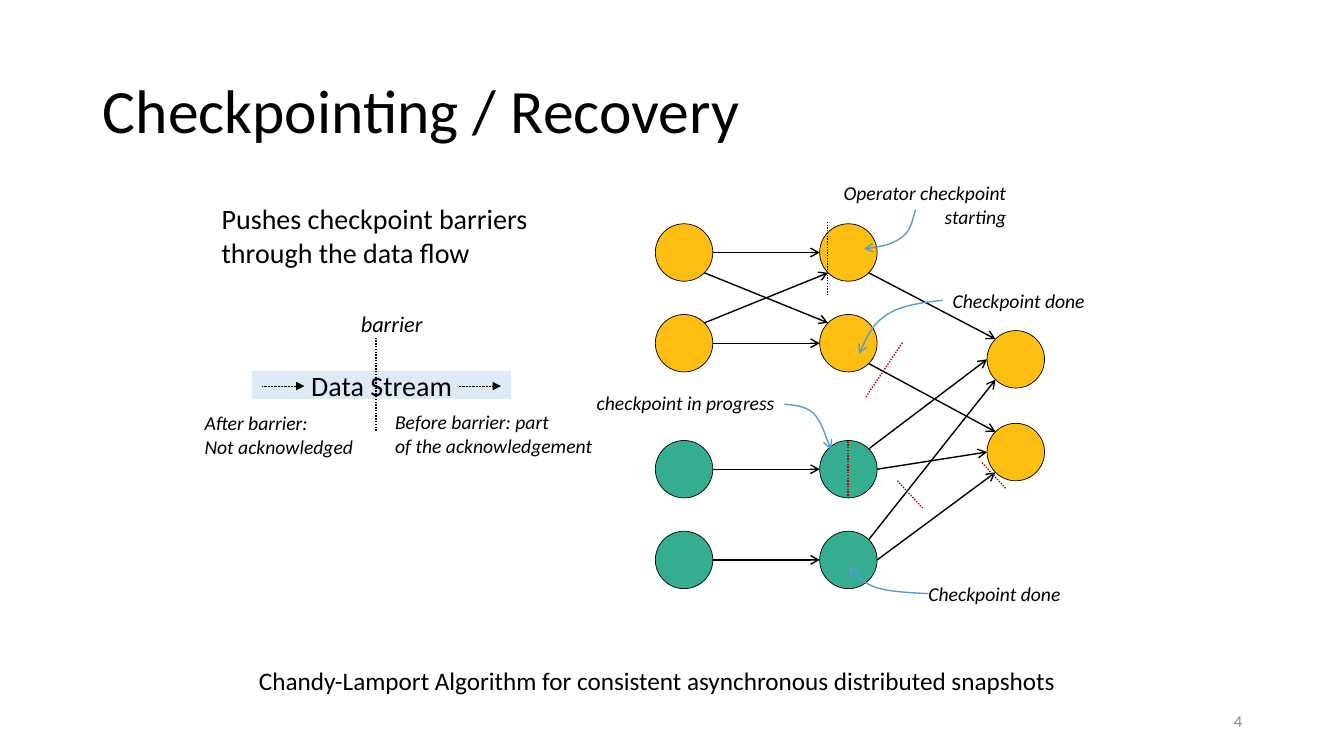
from math import cos, radians, sin

from lxml.etree import SubElement
from pptx import Presentation
from pptx.dml.color import RGBColor
from pptx.enum.dml import MSO_LINE
from pptx.enum.shapes import MSO_CONNECTOR, MSO_SHAPE
from pptx.enum.text import MSO_ANCHOR, MSO_AUTO_SIZE, PP_ALIGN
from pptx.oxml.ns import qn
from pptx.util import Inches, Pt

COLORS = {
    "black": "000000",
    "gray": "8C8C8C",
    "yellow": "FEBE12",
    "green": "34AD91",
    "red": "C00000",
    "blue": "5B9BD5",
    "pale": "DEEBF7",
}


def write(frame, text, size=14, color="black", italic=False,
          align=PP_ALIGN.LEFT, anchor=MSO_ANCHOR.TOP, wrap=False, spacing=None):
    frame.text = text
    frame.word_wrap = wrap
    frame.vertical_anchor = anchor
    for paragraph in frame.paragraphs:
        paragraph.alignment = align
        paragraph.line_spacing = spacing
        font = paragraph.font
        font.size, font.italic, font.name = Pt(size), italic, "Calibri"
        font.color.rgb = RGBColor.from_string(COLORS[color])


def style_line(shape, color="black", width=1, dotted=False, head=None):
    """Format an outline, drop its shadow and add an arrowhead at its end."""
    shape.line.color.rgb = RGBColor.from_string(COLORS[color])
    shape.line.width = Pt(width)
    if dotted:
        shape.line.dash_style = MSO_LINE.ROUND_DOT
    if head:
        SubElement(shape.line._get_or_add_ln(), qn("a:tailEnd"), type=head)
    if shape._element.spPr.find(qn("a:effectLst")) is None:
        SubElement(shape._element.spPr, qn("a:effectLst"))


prs = Presentation()
prs.slide_width, prs.slide_height = Inches(13.33), Inches(7.5)
slide = prs.slides.add_slide(prs.slide_layouts[5])
shapes = slide.shapes

title = shapes.title
title.left, title.top = Inches(0.92), Inches(0.4)
title.width, title.height = Inches(11.5), Inches(1.45)
write(title.text_frame, "Checkpointing / Recovery", size=44,
      anchor=MSO_ANCHOR.MIDDLE, wrap=True, spacing=0.9)

# Operators of the data flow: left, top, color
DIAMETER = 0.57
operators = {
    "source 1": (6.5, 2.22, "yellow"),
    "source 2": (6.5, 3.12, "yellow"),
    "source 3": (6.5, 4.37, "green"),
    "source 4": (6.5, 5.27, "green"),
    "map 1": (8.13, 2.22, "yellow"),
    "map 2": (8.13, 3.12, "yellow"),
    "map 3": (8.13, 4.37, "green"),
    "map 4": (8.13, 5.27, "green"),
    "sink 1": (9.79, 3.28, "yellow"),
    "sink 2": (9.79, 4.2, "yellow"),
}
for left, top, color in operators.values():
    operator = shapes.add_shape(MSO_SHAPE.OVAL, Inches(left), Inches(top),
                                Inches(DIAMETER), Inches(DIAMETER))
    operator.shadow.inherit = False
    operator.fill.solid()
    operator.fill.fore_color.rgb = RGBColor.from_string(COLORS[color])
    style_line(operator, width=0.5)

# Flows leave and enter a circle at an angle, clockwise from its right side
flows = [
    ("source 1", 0, "map 1", 180),
    ("source 2", 0, "map 2", 180),
    ("source 3", 0, "map 3", 180),
    ("source 4", 0, "map 4", 180),
    ("source 1", 45, "map 2", 225),
    ("source 2", -45, "map 1", 135),
    ("map 1", 45, "sink 1", 225),
    ("map 2", 45, "sink 2", 225),
    ("map 3", -45, "sink 1", 180),
    ("map 3", 0, "sink 2", 180),
    ("map 4", -45, "sink 1", 135),
    ("map 4", 0, "sink 2", 135),
]
for source, out_angle, target, in_angle in flows:
    ends = []
    for name, angle in ((source, out_angle), (target, in_angle)):
        left, top, _ = operators[name]
        radius = DIAMETER / 2
        ends += [Inches(left + radius * (1 + cos(radians(angle)))),
                 Inches(top + radius * (1 + sin(radians(angle))))]
    flow = shapes.add_connector(MSO_CONNECTOR.STRAIGHT, *ends)
    style_line(flow, head="arrow")

stream = shapes.add_shape(MSO_SHAPE.RECTANGLE, Inches(2.5), Inches(3.68),
                          Inches(2.57), Inches(0.28))
stream.shadow.inherit = False
stream.fill.solid()
stream.fill.fore_color.rgb = RGBColor.from_string(COLORS["pale"])
stream.line.fill.background()
write(stream.text_frame, "Data Stream", size=20, align=PP_ALIGN.CENTER,
      anchor=MSO_ANCHOR.MIDDLE, wrap=True)

# Dotted barriers and stream arrows: ends, color, width, arrowhead
dotted_lines = [
    (8.21, 2.2, 8.21, 2.93, "black", 1, None),
    (8.95, 3.4, 8.58, 3.95, "red", 1, None),
    (8.41, 4.38, 8.41, 4.95, "red", 1, None),
    (8.9, 4.77, 9.15, 5.04, "red", 1, None),
    (9.74, 4.59, 9.98, 4.85, "red", 1, None),
    (3.73, 3.35, 3.73, 4.28, "black", 1, None),
    (2.6, 3.83, 3.02, 3.83, "black", 0.5, "triangle"),
    (4.55, 3.83, 4.97, 3.83, "black", 0.5, "triangle"),
]
for *ends, color, width, head in dotted_lines:
    barrier = shapes.add_connector(MSO_CONNECTOR.STRAIGHT, *map(Inches, ends))
    style_line(barrier, color, width, dotted=True, head=head)

# Callout arrows: a start point, then three points for each Bézier segment
callouts = [
    [(9.08, 2.08), (9.05, 2.19), (9.03, 2.29), (8.95, 2.35),
     (8.86, 2.42), (8.72, 2.45), (8.57, 2.47)],
    [(9.35, 2.98), (9.15, 3), (8.94, 3.03), (8.8, 3.12),
     (8.66, 3.21), (8.59, 3.36), (8.52, 3.51)],
    [(9.21, 5.89), (9.01, 5.88), (8.82, 5.87), (8.69, 5.83),
     (8.56, 5.78), (8.49, 5.71), (8.42, 5.63)],
    [(7.78, 4.01), (7.89, 4.02), (7.99, 4.03), (8.07, 4.1),
     (8.14, 4.18), (8.19, 4.32), (8.24, 4.46)],
]
for points in callouts:
    start, *rest = [(Inches(x), Inches(y)) for x, y in points]
    builder = shapes.build_freeform(*start)
    builder.add_line_segments(rest, close=False)
    callout = builder.convert_to_shape()
    outline = callout._element.spPr.find(".//" + qn("a:path"))
    steps = outline.findall(qn("a:lnTo"))
    for first in range(0, len(steps), 3):
        curve = SubElement(outline, qn("a:cubicBezTo"))
        for step in steps[first:first + 3]:
            curve.append(step[0])
            outline.remove(step)
    callout.fill.background()
    callout.shadow.inherit = False
    style_line(callout, "blue", head="arrow")

note = {"italic": True}
labels = [
    (2.1, 1.95, 3.27, 0.77, "Pushes checkpoint barriers\vthrough the data flow", {"size": 20}),
    (3.48, 3.03, 0.82, 0.37, "barrier", {"size": 16, **note}),
    (3.82, 4.02, 2.17, 0.57, "Before barrier: part\vof the acknowledgement", note),
    (1.93, 4.03, 2.02, 0.57, "After barrier:\nNot acknowledged", {"wrap": True, **note}),
    (8.25, 1.75, 1.83, 0.57, "Operator checkpoint\vstarting", {"align": PP_ALIGN.RIGHT, **note}),
    (9.35, 2.82, 1.53, 0.34, "Checkpoint done", note),
    (5.82, 3.83, 1.99, 0.34, "checkpoint in progress", {"wrap": True, **note}),
    (9.11, 5.72, 1.53, 0.34, "Checkpoint done", note),
    (2.47, 6.55, 8.19, 0.4,
     "Chandy-Lamport Algorithm for consistent asynchronous distributed snapshots", {"size": 18}),
    (9.42, 6.95, 3, 0.4, "4", {"size": 12, "color": "gray", "align": PP_ALIGN.RIGHT,
                               "anchor": MSO_ANCHOR.MIDDLE, "wrap": True}),
]
for *box, text, text_format in labels:
    label = shapes.add_textbox(*map(Inches, box))
    label.text_frame.auto_size = MSO_AUTO_SIZE.NONE
    write(label.text_frame, text, **text_format)

prs.save("out.pptx")
